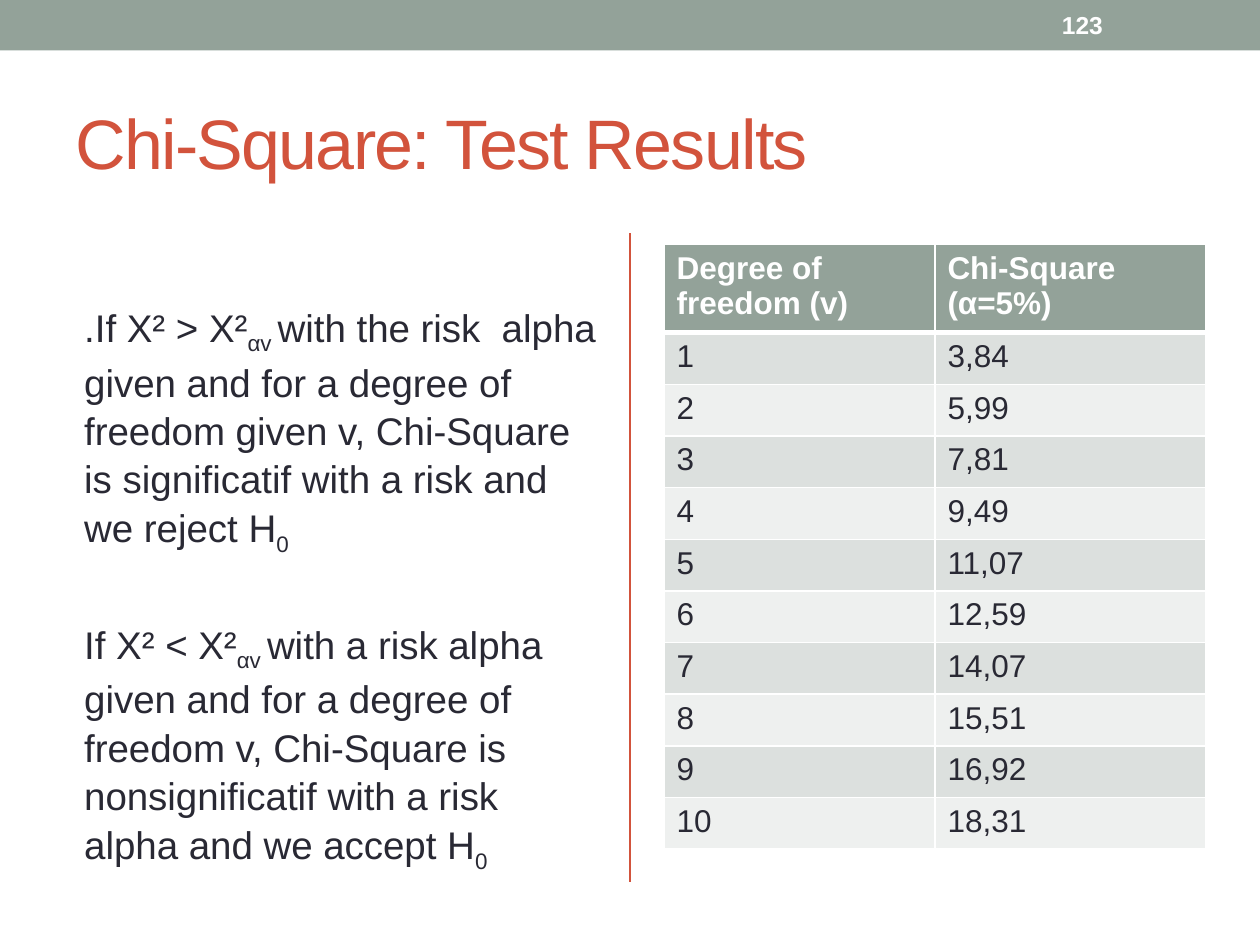
from lxml import etree
from pptx import Presentation, util as u
from pptx.dml.color import RGBColor
from pptx.enum import shapes, text
from pptx.oxml import ns

SAGE = RGBColor(0x93, 0xA2, 0x99)
RED = RGBColor(0xD2, 0x53, 0x3C)
INK = RGBColor(0x29, 0x29, 0x34)
WHITE = RGBColor(0xFF, 0xFF, 0xFF)
BANDS = RGBColor(0xDC, 0xE0, 0xDE), RGBColor(0xEE, 0xF0, 0xEF)
WIDTH, HEIGHT = u.Inches(10), u.Inches(7.5)
COLUMN_WIDTH, CONTENT_TOP = u.Inches(4.3), u.Inches(1.94)
HEADER_HEIGHT, ROW_HEIGHT = u.Inches(0.65), u.Inches(0.41)

RULES = [
    [(".If X² > X²", 0), ("αv ", -25000),
     ("with the risk  alpha given and for a degree of freedom given v, "
      "Chi-Square is significatif with a risk and we reject H", 0), ("0", -25000)],
    [("If X² < X²", 0), ("αv ", -25000),
     (" with a risk alpha given and for a degree of freedom v, "
      "Chi-Square is nonsignificatif with a risk alpha and we accept H".lstrip(), 0),
     ("0", -25000)],
]
HEADINGS = "Degree of freedom (v)", "Chi-Square (α=5%)"
CRITICAL_VALUES = ("3,84", "5,99", "7,81", "9,49", "11,07",
                   "12,59", "14,07", "15,51", "16,92", "18,31")


def add_run(paragraph, content, size, color, bold=False, baseline=0, spacing=0):
    """Append one formatted run to a paragraph."""
    run = paragraph.add_run()
    run.text = content
    run.font.name = "Arial"
    run.font.size = u.Pt(size)
    run.font.bold = bold
    run.font.color.rgb = color
    properties = run.font._element
    if baseline:
        properties.set("baseline", str(baseline))
    if spacing:
        properties.set("spc", str(spacing))


def add_text_frame(slide, left, top, width, height, anchor=text.MSO_ANCHOR.MIDDLE):
    """Add a wrapping text box and return its frame."""
    frame = slide.shapes.add_textbox(left, top, width, height).text_frame
    frame.word_wrap = True
    frame.vertical_anchor = anchor
    return frame


def add_banner(slide):
    """Draw the band across the top of the slide."""
    banner = slide.shapes.add_shape(
        shapes.MSO_SHAPE.RECTANGLE, 0, 0, WIDTH, u.Inches(0.4))
    banner.shadow.inherit = False
    banner.fill.solid()
    banner.fill.fore_color.rgb = SAGE
    banner.line.fill.background()


def add_divider(slide):
    """Draw the vertical line between the two columns."""
    middle = WIDTH // 2
    divider = slide.shapes.add_connector(
        shapes.MSO_CONNECTOR.STRAIGHT, middle, u.Inches(1.85), middle, u.Inches(7))
    divider.line.color.rgb = RED
    divider.line.width = u.Pt(1.5)
    etree.SubElement(divider._element.spPr, ns.qn("a:effectLst"))


def add_rules(slide):
    """Write the decision rules in the left column."""
    frame = add_text_frame(slide, u.Inches(0.57), CONTENT_TOP, COLUMN_WIDTH,
                           u.Inches(4.32), text.MSO_ANCHOR.TOP)
    frame.margin_top = u.Inches(0.45)
    for index, rule in enumerate(RULES):
        paragraph = frame.add_paragraph() if index else frame.paragraphs[0]
        paragraph.line_spacing = 1.05
        paragraph.space_before = u.Pt(35 * index)
        for content, baseline in rule:
            add_run(paragraph, content, 22, INK, baseline=baseline)


def add_borders(cell, top, bottom):
    """Give a cell white borders with the given top and bottom widths."""
    properties = cell._tc.get_or_add_tcPr()
    widths = {"lnL": 1, "lnR": 1, "lnT": top, "lnB": bottom}
    for position, (side, width) in enumerate(widths.items()):
        border = etree.Element(ns.qn(f"a:{side}"), w=str(u.Pt(width)))
        fill = etree.SubElement(border, ns.qn("a:solidFill"))
        etree.SubElement(fill, ns.qn("a:srgbClr"), val=str(WHITE))
        properties.insert(position, border)


def add_table(slide):
    """Build the table of critical values in the right column."""
    rows = [HEADINGS] + [(str(degree), value)
                         for degree, value in enumerate(CRITICAL_VALUES, 1)]
    height = HEADER_HEIGHT + ROW_HEIGHT * len(CRITICAL_VALUES)
    table = slide.shapes.add_table(len(rows), len(HEADINGS), u.Inches(5.27),
                                   CONTENT_TOP, COLUMN_WIDTH, height).table
    for index, values in enumerate(rows):
        header = index == 0
        table.rows[index].height = HEADER_HEIGHT if header else ROW_HEIGHT
        for column, value in enumerate(values):
            cell = table.cell(index, column)
            cell.fill.solid()
            cell.fill.fore_color.rgb = SAGE if header else BANDS[(index - 1) % 2]
            add_borders(cell, 3 if index == 1 else 1, 3 if header else 1)
            add_run(cell.text_frame.paragraphs[0], value, 18,
                    WHITE if header else INK, bold=header)


def main():
    """Build and save the slide."""
    presentation = Presentation()
    presentation.slide_width, presentation.slide_height = WIDTH, HEIGHT
    slide = presentation.slides.add_slide(presentation.slide_layouts[6])
    add_banner(slide)
    add_divider(slide)
    title = add_text_frame(slide, u.Inches(0.5), u.Inches(0.58),
                           u.Inches(9), u.Inches(1.08))
    add_run(title.paragraphs[0], "Chi-Square: Test Results", 40, RED, spacing=-100)
    add_rules(slide)
    add_table(slide)
    number = add_text_frame(slide, u.Inches(8.33), u.Inches(0.02),
                            u.Inches(1.17), u.Inches(0.36))
    add_run(number.paragraphs[0], "123", 14, WHITE, bold=True)
    presentation.save("out.pptx")


if __name__ == "__main__":
    main()
